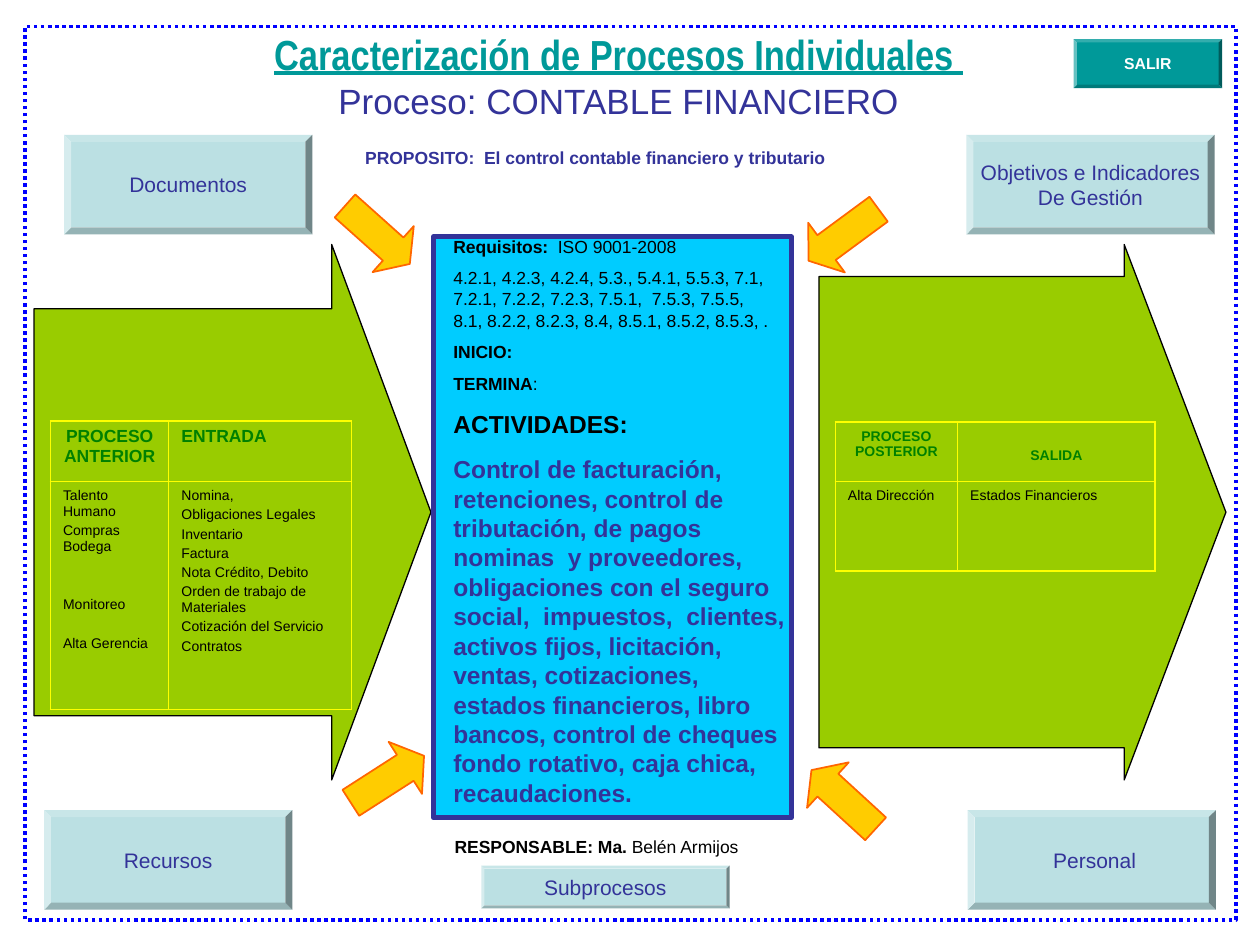
import pptx
import pptx.util
import pptx.dml.color
import pptx.enum.dml
import pptx.enum.shapes
import pptx.enum.text
import pptx.oxml
import pptx.oxml.ns

Inches, Pt = pptx.util.Inches, pptx.util.Pt
KIND = pptx.enum.shapes.MSO_SHAPE
ALIGN = pptx.enum.text.PP_ALIGN
ANCHOR = pptx.enum.text.MSO_ANCHOR

NAVY, TEAL, GREEN, LIME = "333399", "009999", "008000", "99CC00"
PALE, GOLD, YELLOW, BLACK = "BBE0E3", "FFCC00", "FFFF00", "000000"

# Content: a paragraph is (runs, options), a run is (text, size, colour, bold)
PURPOSE = [([("PROPOSITO:  El control contable financiero y tributario", 10, NAVY, True)], {})]
NEEDS = [
    ([("Requisitos:  ", 10, BLACK, True), ("ISO 9001-2008", 10, BLACK, False)], {}),
    ([("4.2.1, 4.2.3, 4.2.4, 5.3., 5.4.1, 5.5.3, 7.1, 7.2.1, 7.2.2, 7.2.3, 7.5.1,  7.5.3, "
       "7.5.5, 8.1, 8.2.2, 8.2.3, 8.4, 8.5.1, 8.5.2, 8.5.3, .", 10, BLACK, False)], {}),
    ([("INICIO:", 10, BLACK, True)], {}),
    ([("TERMINA", 10, BLACK, True), (":", 10, BLACK, False)], {}),
]
TASKS = [
    ([("ACTIVIDADES:", 14, BLACK, True)], {}),
    ([("Control de facturación, retenciones, control de tributación, de pagos nominas  y "
       "proveedores, obligaciones con el seguro social,  impuestos,  clientes, activos fijos, "
       "licitación, ventas, cotizaciones,  estados financieros, libro  bancos, control de "
       "cheques fondo rotativo, caja chica, recaudaciones.", 14, NAVY, True)], {}),
]
OWNER = [([("RESPONSABLE: Ma. ", 10, BLACK, True), ("Belén Armijos", 10, BLACK, False)],
          {"line": 0.8})]

# Text boxes: place, space before, paragraphs
NOTES = [
    ((3.51, 6.62, 2.76, 0.24), 5, OWNER),
    ((3.5, 3.2, 2.84, 3.61), 8.8, TASKS),
    ((3.5, 1.82, 2.76, 1.62), 6.2, NEEDS),
    ((2.8, 1.12, 4.72, 0.27), 6.2, PURPOSE),
]

# Block arrows: left, top, width, height, head width share
BLOCKS = [(6.5, 1.94, 3.23, 4.25, 0.88), (0.27, 1.94, 3.15, 4.25, 0.76)]
# Small arrows: left, top, turn
HINTS = [(2.73, 5.94, 327.3), (2.65, 1.62, 41.8), (6.35, 6.1, 222.5), (6.35, 1.62, 143.6)]

# Buttons: place, fill, size, colour, bold, lines
KEYS = [
    ((0.35, 6.43, 1.97, 0.79), PALE, 12, NAVY, False, ["Recursos"]),
    ((7.68, 6.43, 1.97, 0.79), PALE, 12, NAVY, False, [" Personal"]),
    ((0.51, 1.07, 1.97, 0.79), PALE, 12, NAVY, False, ["Documentos"]),
    ((7.67, 1.07, 1.97, 0.79), PALE, 12, NAVY, False, ["Objetivos e Indicadores", "De Gestión"]),
    ((8.52, 0.31, 1.18, 0.39), TEAL, 9, "FFFFFF", True, ["SALIR"]),
    ((3.82, 6.87, 1.97, 0.34), PALE, 12, NAVY, False, ["Subprocesos"]),
]

# Tables: each cell is a list of lines; a pair adds its own space before
INPUTS = [
    [["PROCESO ANTERIOR"], ["ENTRADA"]],
    [["Talento Humano", "Compras Bodega", ("Monitoreo", 24.4), ("Alta Gerencia", 13.2)],
     ["Nomina,", "Obligaciones Legales", "Inventario", "Factura", "Nota Crédito, Debito",
      "Orden de trabajo de Materiales", "Cotización del Servicio", "Contratos"]],
]
OUTPUTS = [
    [["PROCESO POSTERIOR"], ["SALIDA"]],
    [["Alta Dirección"], ["Estados Financieros"]],
]
# Place, column widths, row heights, rows, head size, centred heads, fill, top inset of last head
GRIDS = [
    ((0.4, 3.34), (0.94, 1.45), (0.48, 1.81), INPUTS, 10, (True, False), LIME, 0.05),
    ((6.63, 3.35), (0.97, 1.57), (0.47, 0.71), OUTPUTS, 8, (True, True), None, 0.2),
]

deck = pptx.Presentation()
deck.slide_width, deck.slide_height = Inches(10), Inches(7.5)
slide = deck.slides.add_slide(deck.slide_layouts[6])


def tint(code):
    return pptx.dml.color.RGBColor.from_string(code)


def paint(part, code):
    if code:
        part.solid()
        part.fore_color.rgb = tint(code)
    else:
        part.background()


def shape(kind, place, fill, line=None, width=1):
    item = slide.shapes.add_shape(kind, *map(Inches, place))
    item.shadow.inherit = False
    paint(item.fill, fill)
    paint(item.line.fill, line)
    if line:
        item.line.width = Pt(width)
    return item


def write(para, text, size, code, bold=False, font="Arial"):
    run = para.add_run()
    run.text = text
    run.font.name, run.font.size, run.font.bold = font, Pt(size), bold
    run.font.color.rgb = tint(code)
    return run


def fill_text(frame, paras, before=0, align=ALIGN.LEFT):
    for i, (runs, opts) in enumerate(paras):
        para = frame.add_paragraph() if i else frame.paragraphs[0]
        para.alignment = opts.get("align", align)
        para.space_before = Pt(opts.get("before", before))
        if "line" in opts:
            para.line_spacing = opts["line"]
        for run in runs:
            write(para, *run)


def text_box(place):
    frame = slide.shapes.add_textbox(*map(Inches, place)).text_frame
    frame.word_wrap = True
    return frame


def edge(cell, side, width):
    props = cell._tc.get_or_add_tcPr()
    line = pptx.oxml.parse_xml(
        f'<a:ln{side} {pptx.oxml.ns.nsdecls("a")} w="{Pt(width)}"><a:solidFill>'
        f'<a:srgbClr val="{YELLOW}"/></a:solidFill></a:ln{side}>')
    props.append(line)


def grid(place, cols, rows, cells, size, mid, fill, inset):
    item = slide.shapes.add_table(2, 2, *map(Inches, (*place, sum(cols), sum(rows))))
    table = item.table
    table.first_row = table.horz_banding = False
    for i in range(2):
        table.columns[i].width = Inches(cols[i])
        table.rows[i].height = Inches(rows[i])
    for r in range(2):
        for c in range(2):
            cell = table.cell(r, c)
            # Outer edges are thicker than inner ones
            for side, outer in zip("LRTB", (c == 0, c == 1, r == 0, r == 1)):
                edge(cell, side, 1.08 if outer else 0.45)
            paint(cell.fill, fill)
            if r == 0 and c == 1:
                cell.margin_top = Inches(inset)
            look = (size, GREEN, True) if r == 0 else (8, BLACK, False)
            paras = []
            for entry in cells[r][c]:
                text, gap = entry if isinstance(entry, tuple) else (entry, look[0] / 4)
                paras.append(([(text, *look)], {"before": gap}))
            fill_text(cell.text_frame, paras,
                      align=ALIGN.CENTER if r == 0 and mid[c] else ALIGN.LEFT)


# Large arrows
for *place, share in BLOCKS:
    arrow = shape(KIND.RIGHT_ARROW, place, LIME, BLACK, 0.75)
    arrow.adjustments[0], arrow.adjustments[1] = share, 0.25

# Title
head = text_box((1.3, 0.36, 7.22, 0.65))
head.vertical_anchor = ANCHOR.BOTTOM
para = head.paragraphs[0]
para.alignment = ALIGN.CENTER
top = write(para, "Caracterización de Procesos Individuales ", 24, TEAL, True, "Arial Narrow")
top.font.underline = True
para.add_line_break()
write(para, "Proceso: CONTABLE FINANCIERO", 20, NAVY)

# Centre panel and dotted frame
shape(KIND.RECTANGLE, (3.44, 1.88, 2.84, 4.61), "00CCFF", NAVY, 3)
border = shape(KIND.RECTANGLE, (0.2, 0.21, 9.61, 7.09), None, "0000FF", 2)
border.line.dash_style = pptx.enum.dml.MSO_LINE.ROUND_DOT

# Small arrows
for left, high, turn in HINTS:
    arrow = shape(KIND.RIGHT_ARROW, (left, high, 0.69, 0.49), GOLD, "FF6600")
    arrow.adjustments[1] = 0.36
    arrow.rotation = turn

# Tables and text
for row in GRIDS:
    grid(*row)
for place, before, paras in NOTES:
    fill_text(text_box(place), paras, before)

# Buttons
for place, fill, size, code, bold, lines in KEYS:
    key = shape(KIND.BEVEL, place, fill)
    key.adjustments[0] = 0.07
    key.text_frame.word_wrap = False
    key.text_frame.vertical_anchor = ANCHOR.MIDDLE
    fill_text(key.text_frame, [([(t, size, code, bold)], {}) for t in lines], align=ALIGN.CENTER)

deck.save("out.pptx")
